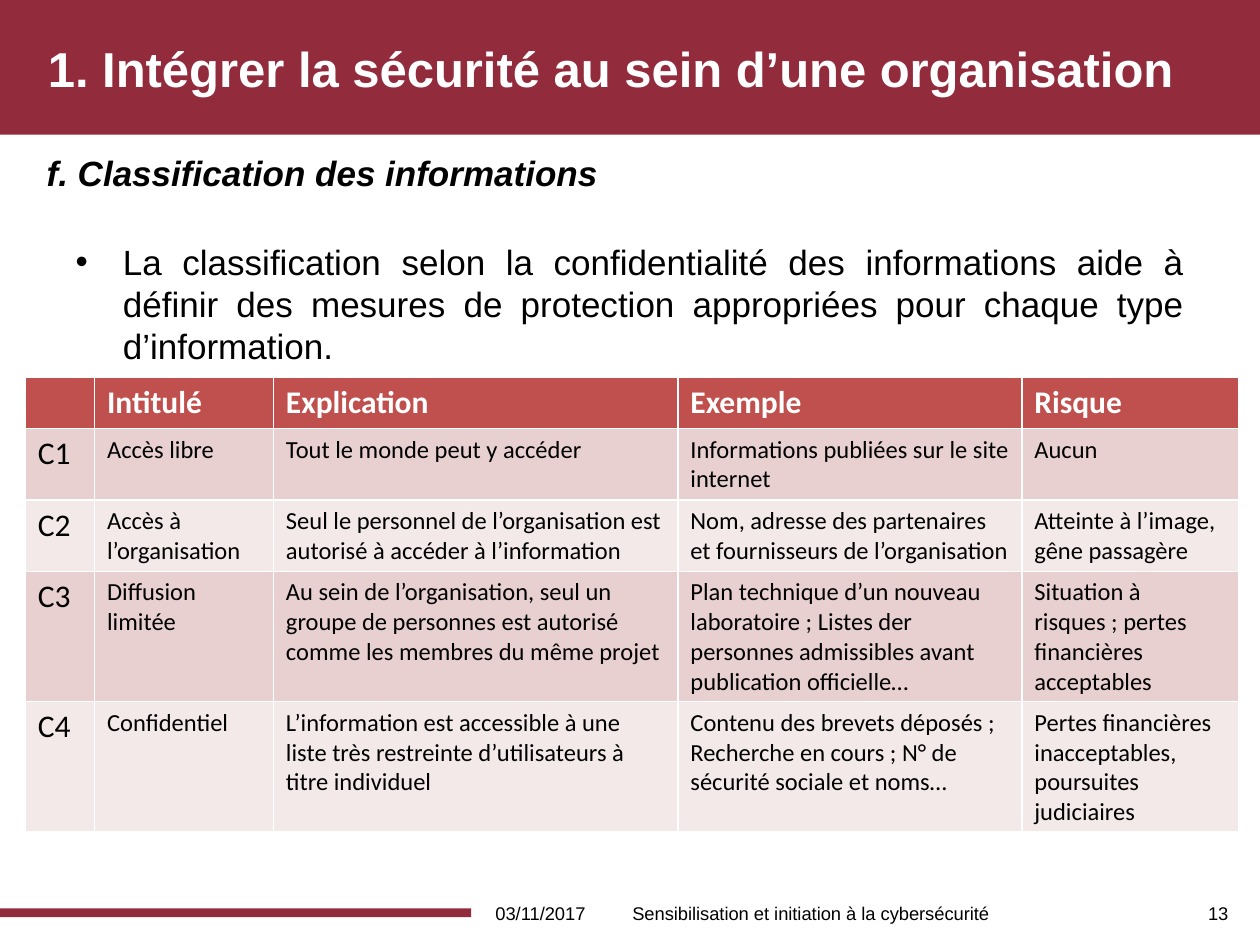
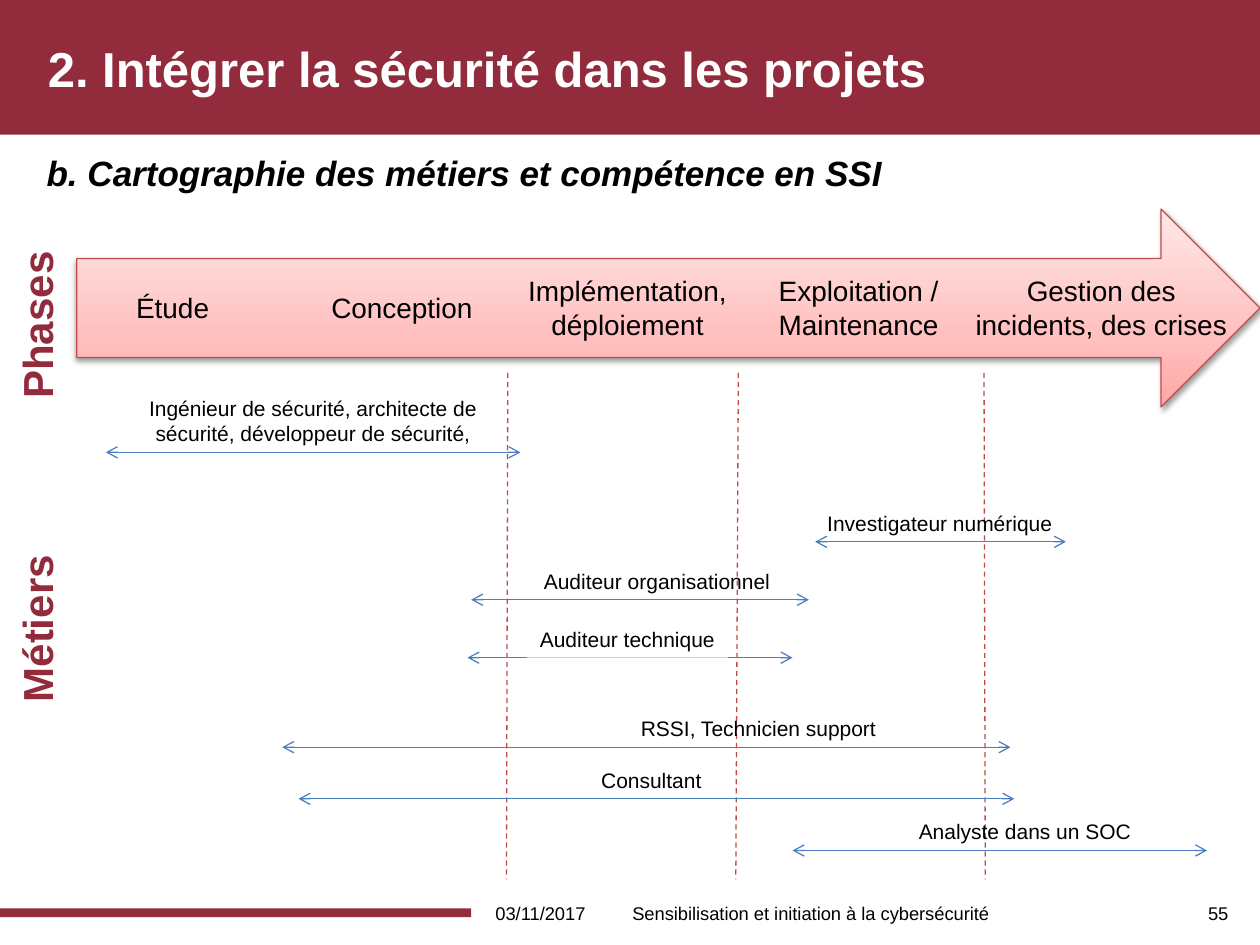
from dataclasses import dataclass

import pptx
import pptx.util
import pptx.dml.color
import pptx.enum.dml
import pptx.enum.shapes
import pptx.enum.text
import pptx.oxml
import pptx.oxml.ns
from lxml import etree

COLORS = {
    "band": "922B3C", "paper": "FFFFFF", "ink": "000000",
    "header": "C0504D", "row_dark": "E8D0D0", "row_light": "F4E9E9",
    "phase_line": "BF4C48", "job_line": "4B7EBC",
    "phase_low": "FFA6A5", "phase_mid": "FFC0BF", "phase_high": "FFE7E7",
}
ALIGN = pptx.enum.text.PP_ALIGN
ANCHOR = pptx.enum.text.MSO_ANCHOR
SHAPE = pptx.enum.shapes.MSO_SHAPE
COLUMNS, ROWS = 100, 75
UNIT = pptx.util.Inches(0.1)  # one column wide, one row high


@dataclass
class Box:
    """A region of the slide, in columns and rows."""
    x: float
    y: float
    w: float
    h: float

    def inner(self, x, y, w, h):
        return Box(self.x + x, self.y + y, w, h)

    def emu(self):
        return [round(length * UNIT) for length in (self.x, self.y, self.w, self.h)]


TITLE = Box(2.8, 0.1, 95.3, 10.6)
SUBTITLE = Box(2.7, 11.5, 95.3, 6.3)
FOOTER = Box(0, 70.5, COLUMNS, 4)
INTRO = Box(5, 18.6, 90, 11)
CLASSES = Box(2, 29.9, 96.3, 20.5)
PHASES = Box(6.1, 16.6, 93.9, 15.7)
JOBS = Box(6.1, 29.6, 93.9, 40.2)

CLASS_COLUMNS = [5.5, 14.2, 32.1, 27.3, 17.2]
CLASS_TABLE = [
    ["", "Intitulé", "Explication", "Exemple", "Risque"],
    ["C1", "Accès libre", "Tout le monde peut y accéder",
     "Informations publiées sur le site internet", "Aucun"],
    ["C2", "Accès à l’organisation",
     "Seul le personnel de l’organisation est autorisé à accéder à l’information",
     "Nom, adresse des partenaires et fournisseurs de l’organisation",
     "Atteinte à l’image, gêne passagère"],
    ["C3", "Diffusion limitée",
     "Au sein de l’organisation, seul un groupe de personnes est autorisé "
     "comme les membres du même projet",
     "Plan technique d’un nouveau laboratoire ; Listes der personnes "
     "admissibles avant publication officielle…",
     "Situation à risques ; pertes financières acceptables"],
    ["C4", "Confidentiel",
     "L’information est accessible à une liste très restreinte d’utilisateurs "
     "à titre individuel",
     "Contenu des brevets déposés ; Recherche en cours ; N° de sécurité "
     "sociale et noms…",
     "Pertes financières inacceptables, poursuites judiciaires"],
]
# Phase, left, width, height
PHASE_LABELS = [
    ("Étude", 0.4, 14.4, 3.7),
    ("Conception", 18.6, 14.4, 3.7),
    ("Implémentation, déploiement", 34.6, 18.2, 6.4),
    ("Exploitation / Maintenance", 54.2, 15.7, 6.4),
    ("Gestion des incidents, des crises", 69.9, 22.8, 6.4),
]
PHASE_LIMITS = [(34.2, 34.1), (52.5, 52.3), (72, 72.1)]  # top x, bottom x
# Job, label left, width and height, span start and end, span row
JOB_SPANS = [
    ("Ingénieur de sécurité, architecte de sécurité, développeur de sécurité,",
     4, 29.5, 5, 2.3, 35.2, 6.3),
    ("Investigateur numérique", 58.5, 20, 3, 58.6, 78.5, 13.4),
    ("Auditeur organisationnel", 36, 20.1, 3, 31.3, 58.1, 18),
    ("Auditeur technique", 35.7, 16, 3, 31, 56.8, 22.6),
    ("RSSI, Technicien support", 43.7, 20.8, 3, 16.3, 74.1, 29.7),
    ("Consultant", 40.6, 10, 3, 17.6, 74.4, 33.8),
    ("Analyste dans un SOC", 65.5, 19.5, 3, 56.8, 89.7, 37.9),
]


def rgb(name):
    return pptx.dml.color.RGBColor.from_string(COLORS[name])


def paint(target, name):
    target.fill.solid()
    target.fill.fore_color.rgb = rgb(name)


def write(frame, text, size, color="ink", bold=False, italic=False,
          align=ALIGN.LEFT, font="Arial"):
    frame.text = text
    paragraph = frame.paragraphs[0]
    paragraph.alignment = align
    paragraph.font.name = font
    paragraph.font.size = pptx.util.Pt(size)
    paragraph.font.bold = bold
    paragraph.font.italic = italic
    paragraph.font.color.rgb = rgb(color)
    return paragraph


def add_label(slide, box, text, size, anchor=ANCHOR.TOP, wrap=True, **style):
    label = slide.shapes.add_textbox(*box.emu())
    label.text_frame.word_wrap = wrap
    label.text_frame.vertical_anchor = anchor
    write(label.text_frame, text, size, **style)
    return label


def fill_placeholder(placeholder, box, text, size, **style):
    placeholder.left, placeholder.top, placeholder.width, placeholder.height = box.emu()
    placeholder.text_frame.auto_size = pptx.enum.text.MSO_AUTO_SIZE.NONE
    return write(placeholder.text_frame, text, size, **style)


def add_line(slide, box, start, end, color):
    x1, y1, _, _ = box.inner(*start, 0, 0).emu()
    x2, y2, _, _ = box.inner(*end, 0, 0).emu()
    line = slide.shapes.add_connector(
        pptx.enum.shapes.MSO_CONNECTOR.STRAIGHT, x1, y1, x2, y2)
    line.line.color.rgb = rgb(color)
    line.line.width = pptx.util.Pt(0.75)
    etree.SubElement(line.element.spPr, pptx.oxml.ns.qn("a:effectLst"))
    return line


def add_master_bands(prs, slide):
    """Draw the title and footer bands, then move them to the slide master."""
    tree = prs.slide_master.element.cSld.spTree
    bands = [Box(0, 0, COLUMNS, 10.7), FOOTER.inner(0, 1.6, 37.4, 0.7)]
    for number, box in enumerate(bands):
        band = slide.shapes.add_shape(SHAPE.RECTANGLE, *box.emu())
        band.shadow.inherit = False
        paint(band, "band")
        band.line.fill.background()
        band.element.nvSpPr.cNvPr.set("id", str(100 + number))
        tree.insert(2 + number, band.element)


def add_footer(slide, box, page):
    for text, x, w, align in (
            ("03/11/2017", 37.4, 11, ALIGN.CENTER),
            ("Sensibilisation et initiation à la cybersécurité", 49.2, 33.2, ALIGN.LEFT),
            (page, 94.9, 4.7, ALIGN.LEFT)):
        add_label(slide, box.inner(x, 0, w, box.h), text, 10.5,
                  anchor=ANCHOR.MIDDLE, align=align)


def add_page(prs, layout, title, subtitle, page):
    slide = prs.slides.add_slide(prs.slide_layouts.get_by_name(layout))
    fill_placeholder(slide.shapes.title, TITLE, title, 28, color="paper", bold=True)
    slide.shapes.title.text_frame.vertical_anchor = ANCHOR.MIDDLE
    heading = fill_placeholder(slide.placeholders[1], SUBTITLE, subtitle, 20,
                               bold=True, italic=True)
    properties = heading._p.get_or_add_pPr()
    properties.set("marL", "0")
    properties.set("indent", "0")
    etree.SubElement(properties, pptx.oxml.ns.qn("a:buNone"))
    # Bullet settings come before the default run properties
    properties.append(properties.find(pptx.oxml.ns.qn("a:defRPr")))
    add_footer(slide, FOOTER, page)
    return slide


def add_class_table(slide, box):
    table = slide.shapes.add_table(
        len(CLASS_TABLE), len(CLASS_COLUMNS), *box.emu()).table
    for column, width in zip(table.columns, CLASS_COLUMNS):
        column.width = round(width * UNIT)
    for r, texts in enumerate(CLASS_TABLE):
        is_header = r == 0
        fill = "header" if is_header else ("row_light", "row_dark")[r % 2]
        for c, text in enumerate(texts):
            cell = table.cell(r, c)
            paint(cell, fill)
            write(cell.text_frame, text, 18 if is_header or c == 0 else 14,
                  color="paper" if is_header else "ink", bold=is_header,
                  font="Calibri")


def add_side_label(slide, middle, text):
    """Write a vertical heading in the left margin, centred on a row."""
    label = add_label(slide, Box(-8.9, middle - 2.5, 23.6, 5), text, 24,
                      color="band", bold=True, align=ALIGN.CENTER)
    label.rotation = 270


def add_phases(slide, box):
    arrow = slide.shapes.add_shape(SHAPE.RIGHT_ARROW, *box.emu())
    arrow.line.color.rgb = rgb("phase_line")
    arrow.line.width = pptx.util.Pt(0.75)
    stops = "".join(
        f'<a:gs pos="{share * 1000}"><a:srgbClr val="{COLORS[name]}"/></a:gs>'
        for share, name in ((0, "phase_low"), (35, "phase_mid"), (100, "phase_high")))
    namespace = pptx.oxml.ns.nsdecls("a")
    gradient = pptx.oxml.parse_xml(
        f'<a:gradFill {namespace} rotWithShape="1"><a:gsLst>{stops}</a:gsLst>'
        '<a:lin ang="16200000" scaled="0"/></a:gradFill>')
    shadow = pptx.oxml.parse_xml(
        f'<a:effectLst {namespace}><a:outerShdw blurRad="40000" dist="20000" '
        f'dir="5400000" rotWithShape="0"><a:srgbClr val="{COLORS["ink"]}">'
        '<a:alpha val="38000"/></a:srgbClr></a:outerShdw></a:effectLst>')
    properties = arrow.element.spPr
    properties.find(pptx.oxml.ns.qn("a:prstGeom")).addnext(gradient)
    properties.append(shadow)
    for text, x, w, h in PHASE_LABELS:
        add_label(slide, box.inner(x, (box.h - h) / 2, w, h), text, 16,
                  align=ALIGN.CENTER)
    add_side_label(slide, 25.8, "Phases")


def add_jobs(slide, box):
    for top_x, bottom_x in PHASE_LIMITS:
        limit = add_line(slide, box, (top_x, 0), (bottom_x, box.h), "phase_line")
        limit.line.dash_style = pptx.enum.dml.MSO_LINE.DASH
    for text, x, w, h, start, end, row in JOB_SPANS:
        span = add_line(slide, box, (start, row), (end, row), "job_line")
        stroke = span.element.spPr.find(pptx.oxml.ns.qn("a:ln"))
        for tip in ("a:headEnd", "a:tailEnd"):
            etree.SubElement(stroke, pptx.oxml.ns.qn(tip), type="arrow")
        label = add_label(slide, box.inner(x, row - h, w, h), text, 12,
                          wrap=h > 3, align=ALIGN.CENTER)
        if text == "Auditeur technique":
            paint(label, "paper")
    add_side_label(slide, 49.9, "Métiers")


def main():
    prs = pptx.Presentation()
    prs.slide_width, prs.slide_height = COLUMNS * UNIT, ROWS * UNIT

    classification = add_page(
        prs, "Two Content", "1. Intégrer la sécurité au sein d’une organisation",
        "f. Classification des informations", "13")
    add_master_bands(prs, classification)
    fill_placeholder(
        classification.placeholders[2], INTRO,
        "La classification selon la confidentialité des informations aide à définir "
        "des mesures de protection appropriées pour chaque type d’information.",
        20, align=ALIGN.JUSTIFY)
    add_class_table(classification, CLASSES)

    careers = add_page(
        prs, "Title and Content", "2. Intégrer la sécurité dans les projets",
        "b. Cartographie des métiers et compétence en SSI", "55")
    add_phases(careers, PHASES)
    add_jobs(careers, JOBS)

    prs.save("out.pptx")


if __name__ == "__main__":
    main()
